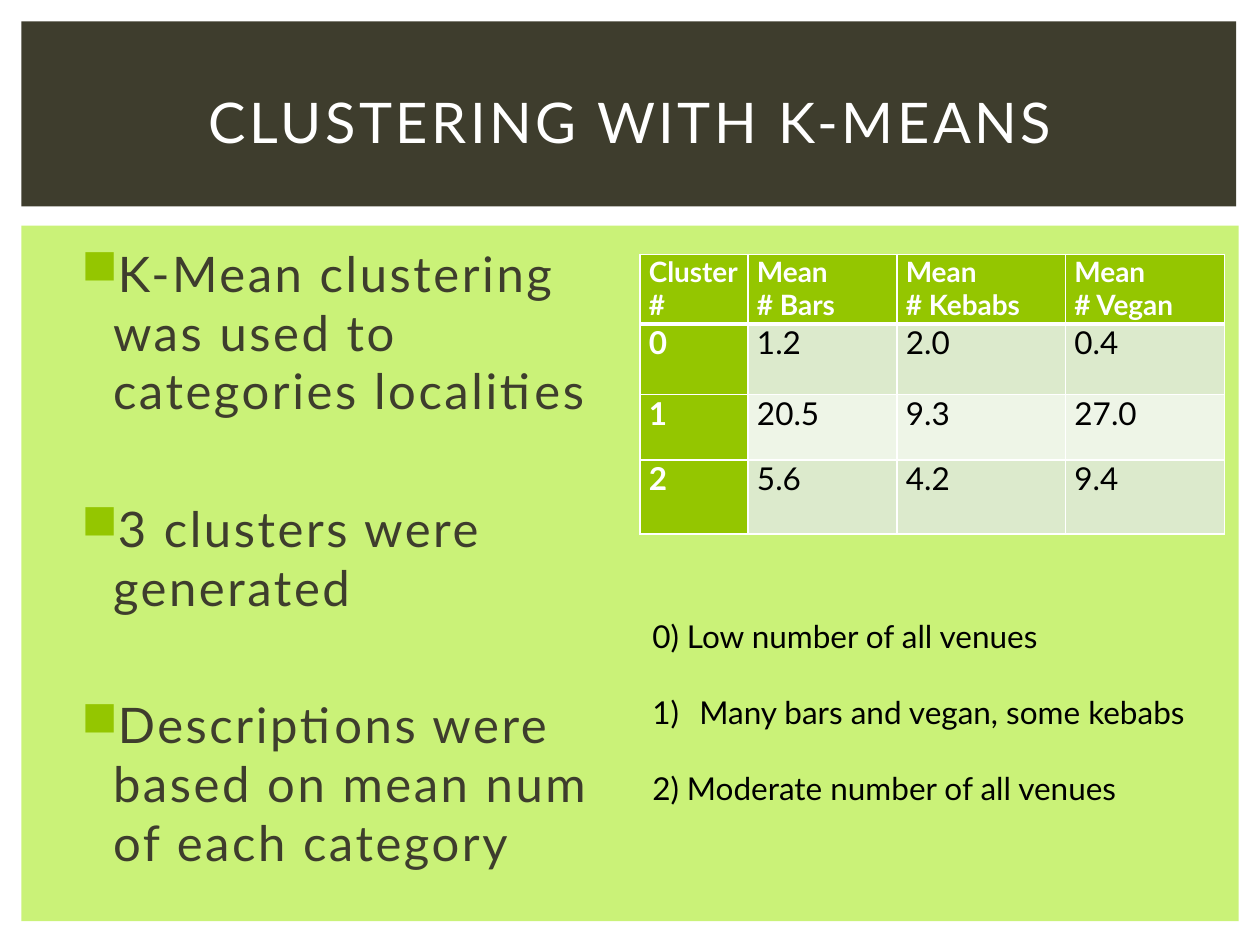
import pptx
import pptx.dml.color
import pptx.enum.shapes
import pptx.enum.text
import pptx.oxml.ns
import pptx.util
from lxml import etree

Cm, Pt = pptx.util.Cm, pptx.util.Pt
qn = pptx.oxml.ns.qn

DARK, LIME, GREEN = "3E3D2D", "CAF278", "94C600"
WHITE, BLACK = "FFFFFF", "000000"
BANDS = ["DCEACC", "EEF5E7"]


def rgb(value):
    """Turn a hex string into a colour."""
    return pptx.dml.color.RGBColor.from_string(value)


class Deck:
    """Style and current slide."""

    font = "Lato"

    def __init__(self, prs):
        """Add a blank slide to draw on."""
        self.s = prs.slides.add_slide(prs.slide_layouts[6])

    def panel(self, box, fill):
        """Draw a plain filled rectangle."""
        sp = self.s.shapes.add_shape(
            pptx.enum.shapes.MSO_SHAPE.RECTANGLE, *map(Cm, box))
        sp.shadow.inherit = False
        sp.fill.solid()
        sp.fill.fore_color.rgb = rgb(fill)
        sp.line.fill.background()

    def run(self, p, text, size, color, bold=False, spacing=0):
        """Add one styled run; spacing is in points between letters."""
        r = p.add_run()
        r.text = text
        r.font.name = self.font
        r.font.size = Pt(size)
        r.font.bold = bold
        r.font.color.rgb = rgb(color)
        if spacing:
            r._r.get_or_add_rPr().set("spc", str(int(spacing * 100)))

    def text(self, box, lines, size, color, gap=0, spacing=0, center=False):
        """Add a text box with one paragraph per line; return the paragraphs."""
        tf = self.s.shapes.add_textbox(*map(Cm, box)).text_frame
        tf.word_wrap = True
        if center:
            tf.vertical_anchor = pptx.enum.text.MSO_ANCHOR.MIDDLE
        for i, line in enumerate(lines):
            p = tf.add_paragraph() if i else tf.paragraphs[0]
            p.space_before = Pt(gap if i else 0)
            if center:
                p.alignment = pptx.enum.text.PP_ALIGN.CENTER
            self.run(p, line, size, color, spacing=spacing)
        return tf.paragraphs

    def marker(self, p, left, hang, tag, color=None, **attrs):
        """Give a paragraph a hanging bullet or number."""
        pPr = p._p.get_or_add_pPr()
        pPr.set("marL", str(Cm(left)))
        pPr.set("indent", str(-Cm(hang)))
        if color:
            clr = etree.SubElement(pPr, qn("a:buClr"))
            etree.SubElement(clr, qn("a:srgbClr"), val=color)
        etree.SubElement(pPr, qn(tag), **attrs)

    def borders(self, cell, bottom):
        """Put white lines round a cell, the bottom one of a given width."""
        tcPr = cell._tc.get_or_add_tcPr()
        widths = {"a:lnL": 1, "a:lnR": 1, "a:lnT": 1, "a:lnB": bottom}
        for i, (tag, width) in enumerate(widths.items()):
            ln = etree.Element(qn(tag), w=str(Pt(width)))
            fill = etree.SubElement(ln, qn("a:solidFill"))
            etree.SubElement(fill, qn("a:srgbClr"), val=WHITE)
            tcPr.insert(i, ln)

    def table(self, left, top, widths, heights, rows):
        """Add a table with a header row, a header column and banded rows."""
        tbl = self.s.shapes.add_table(
            len(rows), len(widths), Cm(left), Cm(top),
            Cm(sum(widths)), Cm(sum(heights))).table
        for col, width in zip(tbl.columns, widths):
            col.width = Cm(width)
        for i, row in enumerate(rows):
            tbl.rows[i].height = Cm(heights[i])
            for j, value in enumerate(row):
                cell = tbl.cell(i, j)
                head = i == 0 or j == 0
                cell.margin_left = cell.margin_right = Cm(0.18)
                cell.margin_top = cell.margin_bottom = 0
                cell.fill.solid()
                cell.fill.fore_color.rgb = rgb(GREEN if head else BANDS[(i - 1) % 2])
                self.borders(cell, 1 if i else 3)
                p = cell.text_frame.paragraphs[0]
                for k, part in enumerate(value.split("\n")):
                    if k:
                        p.add_line_break()
                    self.run(p, part, 18 if i else 16,
                             WHITE if head else BLACK, bold=head)


prs = pptx.Presentation()
prs.slide_width, prs.slide_height = Cm(25.4), Cm(19.05)
deck = Deck(prs)

deck.panel((0.43, 4.55, 24.54, 14.02), LIME)
deck.panel((0.43, 0.43, 24.49, 3.73), DARK)
deck.text((1.07, 0.99, 23.29, 2.92), ["CLUSTERING WITH K-MEANS"],
          32, WHITE, spacing=2, center=True)

points = deck.text((1.27, 4.78, 11.23, 12.24), [
    "K-Mean clustering was used to categories localities",
    "3 clusters were generated",
    "Descriptions were based on mean num of each category",
], 28, DARK, gap=45, spacing=1.5)
for p in points:
    deck.marker(p, 0.76, 0.64, "a:buChar", GREEN, char="\u25a0")

deck.table(12.9, 5.13, [2.18, 3, 3.4, 3.2], [1.4, 1.42, 1.32, 1.5], [
    ["Cluster #", "Mean\n# Bars", "Mean\n# Kebabs", "Mean\n# Vegan"],
    ["0", "1.2", "2.0", "0.4"],
    ["1", "20.5", "9.3", "27.0"],
    ["2", "5.6", "4.2", "9.4"],
])

notes = deck.text((12.9, 12.32, 11.4, 4.11), [
    "0) Low number of all venues",
    "Many bars and vegan, some kebabs",
    "2) Moderate number of all venues",
], 18, BLACK, gap=21.6)
deck.marker(notes[1], 0.95, 0.95, "a:buAutoNum", type="arabicParenR")

prs.save("out.pptx")
